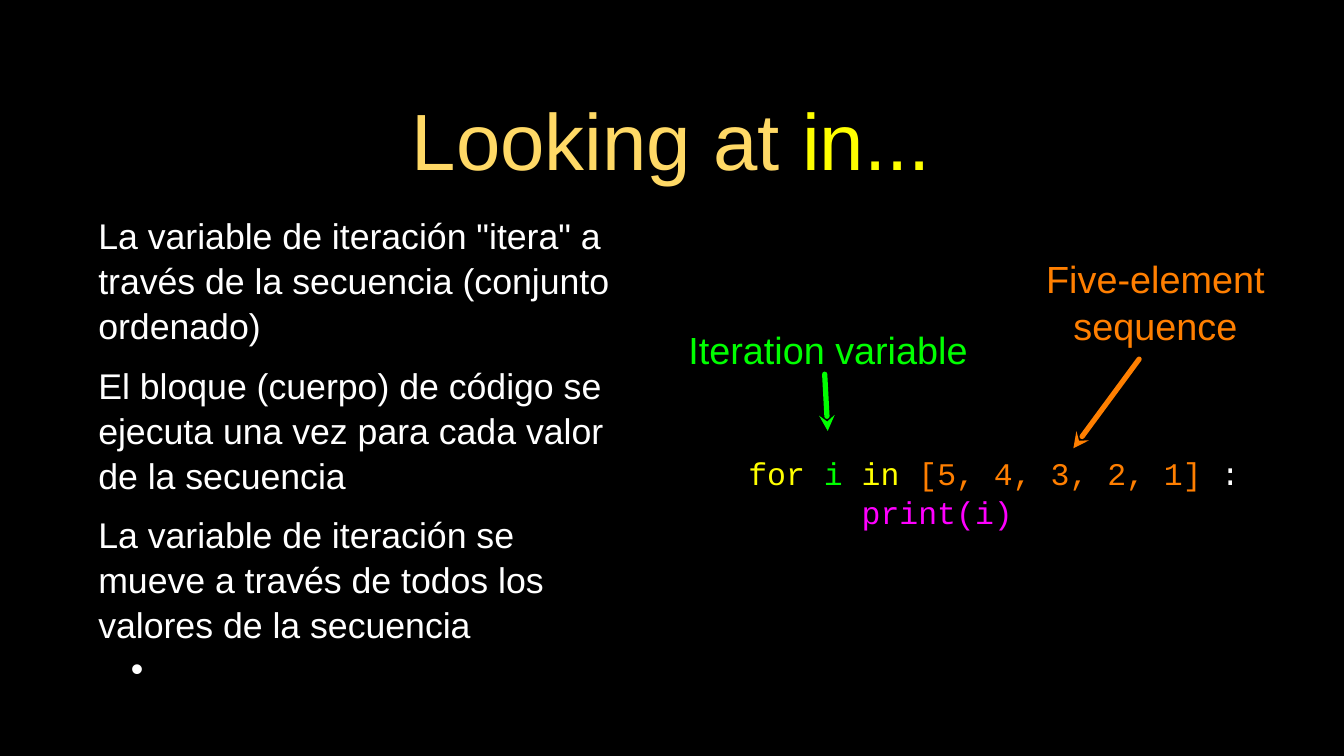
"""Build the slide that explains the in keyword of a for loop."""
from dataclasses import dataclass

from lxml import etree
from pptx import Presentation
from pptx import util as u
from pptx.dml.color import RGBColor
from pptx.enum import shapes, text
from pptx.oxml import ns

BLACK = RGBColor(0x00, 0x00, 0x00)
WHITE = RGBColor(0xFF, 0xFF, 0xFF)
GOLD = RGBColor(0xFF, 0xD9, 0x66)
YELLOW = RGBColor(0xFF, 0xFF, 0x00)
GREEN = RGBColor(0x00, 0xFF, 0x00)
ORANGE = RGBColor(0xFF, 0x7F, 0x00)
MAGENTA = RGBColor(0xFF, 0x00, 0xFF)

Line = list[tuple[str, RGBColor]]
CENTER = text.PP_ALIGN.CENTER
LEFT = text.PP_ALIGN.LEFT


@dataclass
class Block:
    """Text lines with their place and format."""
    place: tuple[float, float, float, float]
    lines: list[Line]
    size: int
    font: str = "Arial"
    align: text.PP_ALIGN = CENTER
    inset: float = 0
    gap: int = 0
    spacing: float = 1.05


@dataclass
class Arrow:
    """A line whose head sits at its start."""
    tip: tuple[float, float]
    end: tuple[float, float]
    color: RGBColor


TITLE = Block((1.26, 0.89, 15.24, 1.88), [[("Looking at ", GOLD), ("in...", YELLOW)]],
              76, inset=0.04, spacing=1)
POINTS = Block((1.26, 2.85, 6.98, 6.24), [
    [('La variable de iteración "itera" a través de la secuencia (conjunto ordenado)', WHITE)],
    [("El bloque (cuerpo) de código se ejecuta una vez para cada valor de la secuencia", WHITE)],
    [("La variable de iteración se mueve a través de todos los valores de la secuencia", WHITE)],
    [(" ", WHITE)],
], 34, align=LEFT, inset=0.04, gap=14)
LABELS = [
    Block((9.9, 5.77, 6.96, 1.46), [
        [("for ", YELLOW), ("i ", GREEN), ("in ", YELLOW),
         ("[5, 4, 3, 2, 1] ", ORANGE), (":", WHITE)],
        [("      print(i)", MAGENTA)],
    ], 30, "Courier New", LEFT),
    Block((9.07, 4.27, 3.77, 0.68), [[("Iteration variable", GREEN)]], 36),
    Block((13.11, 3.41, 4.35, 1.14), [[("Five-element sequence", ORANGE)]], 36),
]
ARROWS = [
    Arrow((10.95, 5.7), (10.91, 4.95), GREEN),
    Arrow((14.2, 5.93), (15.07, 4.75), ORANGE),
]


def apply(target, values: dict) -> None:
    """Set each named attribute on the target."""
    for name, value in values.items():
        setattr(target, name, value)


def fill_box(box, block: Block) -> None:
    """Place a text shape and write the block into it."""
    apply(box, dict(zip(("left", "top", "width", "height"), map(u.Inches, block.place))))
    frame = box.text_frame
    sides = ("margin_left", "margin_top", "margin_right", "margin_bottom")
    apply(frame, dict.fromkeys(sides, u.Inches(block.inset)))
    apply(frame, {"word_wrap": True, "auto_size": text.MSO_AUTO_SIZE.NONE,
                  "vertical_anchor": text.MSO_ANCHOR.MIDDLE})
    for index, line in enumerate(block.lines):
        para = frame.paragraphs[0] if index == 0 else frame.add_paragraph()
        apply(para, {"alignment": block.align, "line_spacing": block.spacing,
                     "space_before": u.Pt(block.gap if index else 0), "space_after": u.Pt(0)})
        for words, color in line:
            span = para.add_run()
            span.text = words
            apply(span.font, {"name": block.font, "size": u.Pt(block.size)})
            span.font.color.rgb = color


def set_bullet(para, margin: float, indent: float, mark: str = "") -> None:
    """Give a paragraph its indents and a bullet mark, or none."""
    props = para._p.get_or_add_pPr()
    props.set("marL", str(u.Inches(margin)))
    props.set("indent", str(u.Inches(indent)))
    bullet = etree.SubElement(props, ns.qn("a:buChar" if mark else "a:buNone"))
    if mark:
        bullet.set("char", mark)


def draw_arrow(page, arrow: Arrow) -> None:
    """Draw a thick line with a stealth head at its tip."""
    ends = map(u.Inches, arrow.tip + arrow.end)
    link = page.shapes.add_connector(shapes.MSO_CONNECTOR.STRAIGHT, *ends)
    link.line.width = u.Pt(5)
    link.line.color.rgb = arrow.color
    stroke = link.line._get_or_add_ln()
    stroke.set("cap", "rnd")
    etree.SubElement(stroke, ns.qn("a:headEnd")).set("type", "stealth")
    etree.SubElement(link._element.spPr, ns.qn("a:effectLst"))


def main() -> None:
    """Create the deck and save it."""
    deck = Presentation()
    apply(deck, {"slide_width": u.Inches(17.78), "slide_height": u.Inches(10)})
    page = deck.slides.add_slide(deck.slide_layouts[1])
    page.background.fill.solid()
    page.background.fill.fore_color.rgb = BLACK

    body = page.placeholders[1]
    fill_box(page.shapes.title, TITLE)
    fill_box(body, POINTS)
    *points, last = body.text_frame.paragraphs
    for para in points:
        set_bullet(para, 0, 0)
    set_bullet(last, 0.82, -0.39, "•")
    last.space_before = u.Pt(0)

    for label in LABELS:
        fill_box(page.shapes.add_textbox(0, 0, 0, 0), label)
    for arrow in ARROWS:
        draw_arrow(page, arrow)
    deck.save("out.pptx")


if __name__ == "__main__":
    main()
